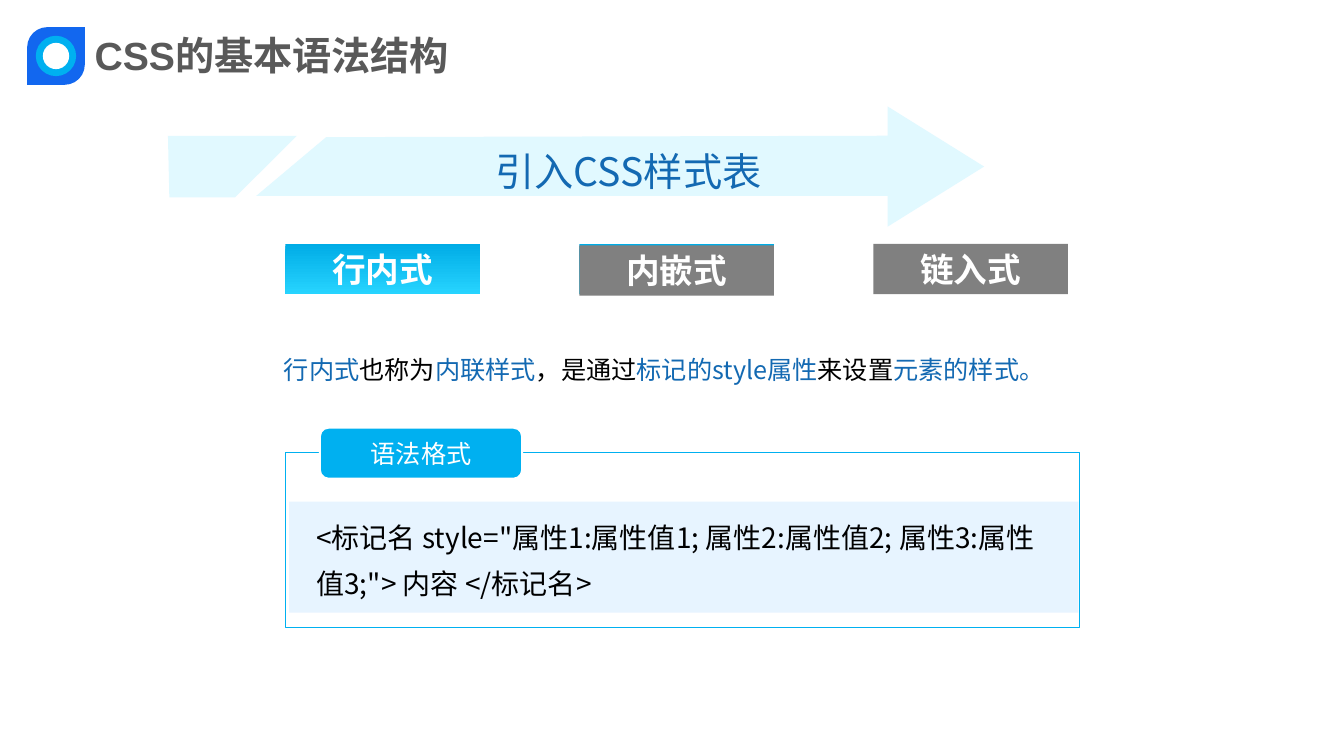
from dataclasses import dataclass
from typing import Optional

from lxml import etree
from pptx import Presentation, util as u
from pptx.dml import color
from pptx.enum import shapes, text
from pptx.oxml import ns

COLORS = {
    "cyan": "00B0F0", "grad_top": "00ACE6", "grad_end": "27D4FF",
    "grey": "808080", "white": "FFFFFF", "black": "000000",
    "blue": "1369B2", "pale_cyan": "E1F9FF", "pale_blue": "E7F4FF",
    "badge": "1267EF", "title": "595959",
}
CJK = "Noto Sans CJK SC"
KIND = shapes.MSO_SHAPE
CENTER = text.PP_ALIGN.CENTER


@dataclass
class Label:
    runs: list[tuple[str, str]]
    size: float
    bold: bool = False
    font: str = CJK
    align: Optional[int] = None
    spacing: Optional[float] = None


@dataclass
class Box:
    kind: int
    at: tuple[float, float, float, float]
    fill: str
    label: Optional[Label] = None
    line: Optional[tuple[str, float]] = None
    adj: tuple[float, ...] = ()


@dataclass
class Note:
    at: tuple[float, float, float, float]
    label: Label


def rgb(name: str) -> color.RGBColor:
    return color.RGBColor.from_string(COLORS[name])


def assign(target, values: dict) -> None:
    for key, value in values.items():
        setattr(target, key, value)


def write(tf, label: Label, anchor) -> None:
    assign(tf, {"word_wrap": True, "vertical_anchor": anchor})
    p = tf.paragraphs[0]
    assign(p, {"alignment": label.align, "line_spacing": label.spacing})
    for words, tint in label.runs:
        r = p.add_run()
        r.text = words
        assign(r.font, {"size": u.Pt(label.size), "bold": label.bold, "name": label.font})
        r.font.color.rgb = rgb(tint)
        ea = etree.SubElement(r.font._element, ns.qn("a:ea"))
        ea.set("typeface", CJK)


def paint(sp, fill: str, line: Optional[tuple[str, float]] = None) -> None:
    sp.shadow.inherit = False
    if fill == "gradient":
        sp.fill.gradient()
        sp.fill.gradient_angle = 270
        for stop, name in zip(sp.fill.gradient_stops, ("grad_top", "grad_end")):
            stop.color.rgb = rgb(name)
    else:
        sp.fill.solid()
        sp.fill.fore_color.rgb = rgb(fill)
    if line:
        sp.line.color.rgb = rgb(line[0])
        sp.line.width = u.Pt(line[1])
    else:
        sp.line.fill.background()


def draw_box(s, box: Box) -> None:
    sp = s.shapes.add_shape(box.kind, *map(u.Pt, box.at))
    for i, value in enumerate(box.adj):
        sp.adjustments[i] = value
    paint(sp, box.fill, box.line)
    if box.label:
        write(sp.text_frame, box.label, text.MSO_ANCHOR.MIDDLE)


def draw_note(s, note: Note) -> None:
    sp = s.shapes.add_textbox(*map(u.Pt, note.at))
    write(sp.text_frame, note.label, text.MSO_ANCHOR.TOP)


def draw_outline(s, points: list[tuple[float, float]], fill: str) -> None:
    builder = s.shapes.build_freeform(*points[0], scale=u.Pt(1))
    builder.add_line_segments(points[1:], close=True)
    paint(builder.convert_to_shape(), fill)


def tab(column: int, top: float, fill: str, words: str = "") -> Box:
    label = Label([(words, "white")], 24, bold=True, align=CENTER) if words else None
    return Box(KIND.RECTANGLE, (203.8 + 210 * column, top, 139, 36), fill, label)


def disc(diameter: float, fill: str) -> Box:
    corner = 40 - diameter / 2
    return Box(KIND.OVAL, (corner, corner, diameter, diameter), fill)


BOXES = [
    tab(0, 174.2, "gradient", "行内式"),
    tab(1, 174.2, "gradient"),
    tab(1, 175.2, "grey", "内嵌式"),
    tab(2, 174.2, "grey", "链入式"),
    Box(KIND.RECTANGLE, (203.8, 323.3, 567.4, 124.9), "white", line=("cyan", 0.75)),
    Box(KIND.ROUNDED_RECTANGLE, (228.5, 305.5, 144.5, 36.5), "cyan",
        Label([("语法格式", "white")], 18, align=CENTER), ("white", 1.5), (0.17,)),
    Box(KIND.RECTANGLE, (206.6, 358.4, 563.8, 79.2), "pale_blue"),
    Box(KIND.ROUND_2_DIAG_RECTANGLE, (19.4, 19.4, 41.2, 41.2), "badge", adj=(0.35, 0)),
    disc(28.8, "cyan"),
    disc(18.8, "white"),
]

ARROW = [(232.6, 97.9), (633.6, 97.2), (633.6, 76.3), (702.7, 118.8),
         (633.6, 162), (633.6, 140.4), (182.9, 140.4)]
ARROW_TAIL = [(119.6, 97.2), (211.7, 97.2), (168.5, 141.1), (121, 141.1)]

NOTES = [
    Note((195.8, 239, 590.4, 36), Label(
        [("行内式", "blue"), ("也称为", "black"), ("内联样式", "blue"),
         ("，是通过", "black"), ("标记的style属性", "blue"),
         ("来设置", "black"), ("元素的样式。", "blue")], 18, spacing=1.5)),
    Note((218.9, 360, 530.6, 69.1), Label(
        [('<标记名 style="属性1:属性值1; 属性2:属性值2; 属性3:属性值3;"> 内容 </标记名>', "black")],
        20, spacing=1.35)),
    Note((347, 85, 473, 51.8), Label([("引入CSS样式表", "blue")], 28, spacing=1.5)),
    Note((60.5, 18.7, 865.4, 41), Label(
        [("CSS的基本语法结构", "title")], 28, bold=True, font="Arial")),
]


def main() -> None:
    prs = Presentation()
    assign(prs, {"slide_width": u.Pt(960), "slide_height": u.Pt(540)})
    s = prs.slides.add_slide(prs.slide_layouts[6])
    for box in BOXES:
        draw_box(s, box)
    for points in (ARROW, ARROW_TAIL):
        draw_outline(s, points, "pale_cyan")
    for note in NOTES:
        draw_note(s, note)
    prs.save("out.pptx")


if __name__ == "__main__":
    main()
